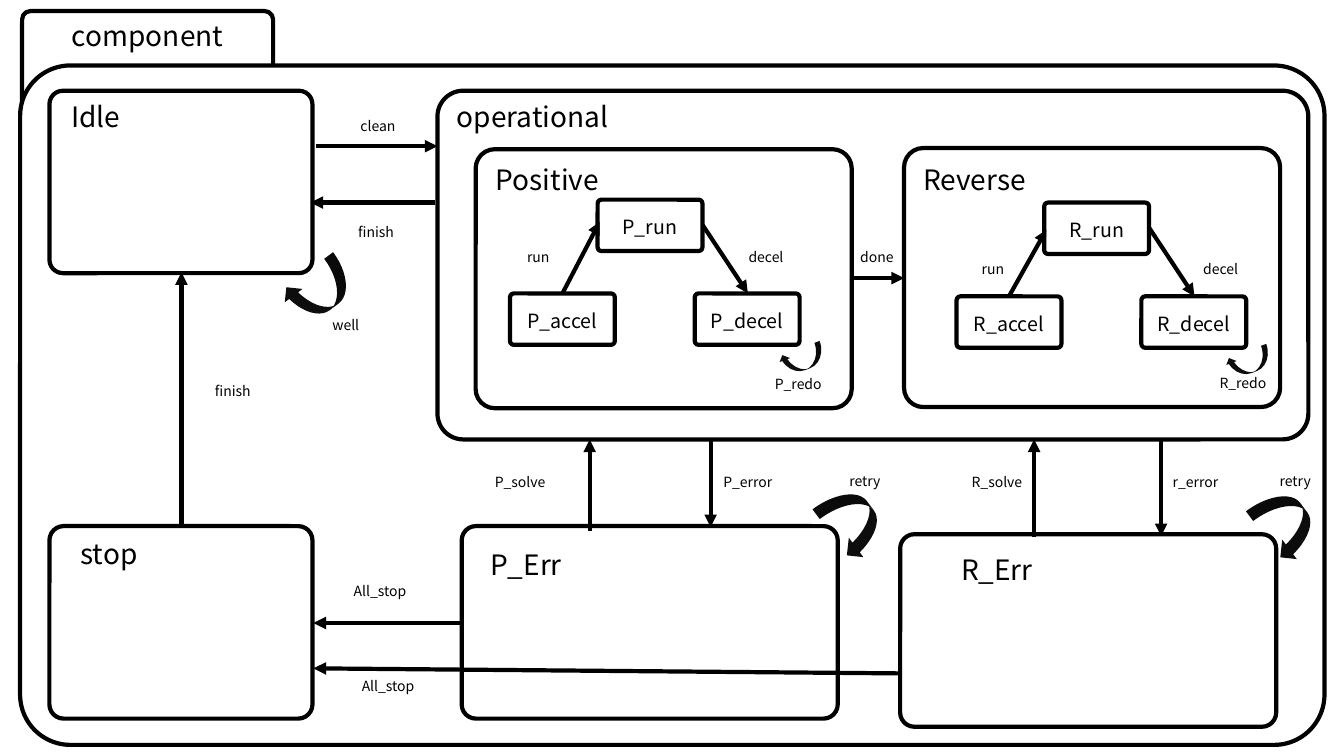
from lxml import etree
from pptx import Presentation
from pptx.dml.color import RGBColor
from pptx.enum.shapes import MSO_CONNECTOR, MSO_SHAPE
from pptx.enum.text import MSO_AUTO_SIZE, PP_ALIGN
from pptx.oxml.ns import qn
from pptx.util import Pt

STRAIGHT = MSO_CONNECTOR.STRAIGHT
ROUNDED = MSO_SHAPE.ROUNDED_RECTANGLE
LOOP_ARROW = MSO_SHAPE.CURVED_LEFT_ARROW
GROW = MSO_AUTO_SIZE.SHAPE_TO_FIT_TEXT
CENTER = PP_ALIGN.CENTER

BLACK = RGBColor(0x00, 0x00, 0x00)
WHITE = RGBColor(0xFF, 0xFF, 0xFF)
LOOP_FILL = RGBColor(0x0D, 0x0D, 0x0D)
FONT = "Noto Sans CJK KR"
LINE_WIDTH = 3
CORNER = 0.074

# Lengths in points. State frames: left, top, width, height
COMPONENT_TAB = (15.8, 7.9, 179.3, 81.4)
COMPONENT = (14.4, 46.8, 931.7, 485.3)
OPERATIONAL = (312.5, 64.8, 622.1, 249.1)
IDLE = (35.3, 64.8, 187.9, 130.3)
STOP = (35.3, 375.8, 187.9, 137.5)
POSITIVE = (339.8, 106.6, 268.6, 185)
REVERSE = (645.8, 105.8, 268.6, 185)
P_ERR = (329.8, 375.8, 268.6, 137.5)
R_ERR = (643, 381.6, 268.6, 137.5)
STATES = [COMPONENT_TAB, COMPONENT, OPERATIONAL, IDLE, STOP,
          POSITIVE, REVERSE, P_ERR, R_ERR]

# Title, centre x, top, width
TITLES = [
    ("component", 105.5, 9.4, 150), ("operational", 380.5, 67.7, 148),
    ("Idle", 68.4, 67.7, 122.4), ("stop", 77.8, 379.4, 122.4),
    ("Positive", 391, 112.3, 122.4), ("Reverse", 696.2, 112.3, 122.4),
    ("P_Err", 375.8, 387.4, 122.4), ("R_Err", 712.1, 391, 122.4),
]

# Each cycle has the same three steps, offset from its own origin
CYCLES = {"P": (364.3, 142.6), "R": (683.3, 144.7)}
STEPS = {"run": (62.6, 0), "accel": (0, 67), "decel": (132, 67)}
STEP_WIDTH, STEP_HEIGHT = 74.9, 36.7
STEP_TEXT_WIDTH, STEP_TEXT_DROP = 72, 7.6

# Label, label centre x, label top, start, end
TRANSITIONS = [
    ("clean", 270, 80.6, (225.4, 104.4), (312.5, 104.4)),
    ("finish", 268.6, 156.2, (311, 144.7), (221.8, 144.7)),
    ("finish", 166.3, 270, (129.6, 375.8), (129.6, 194.4)),
    ("All_stop", 271.4, 412.6, (329.8, 445), (223.9, 445)),
    ("All_stop", 277.2, 480.2, (641.5, 481), (223.9, 477.4)),
    ("P_solve", 371.5, 334.8, (421.2, 379.4), (421.2, 313.9)),
    ("P_error", 534.2, 334.8, (507.6, 313.9), (507.6, 376.6)),
    ("R_solve", 712.1, 334.8, (738.7, 383.8), (738.7, 313.9)),
    ("r_error", 853.9, 334.8, (829.4, 313.9), (829.4, 383)),
    ("run", 384.5, 174.2, (401.8, 209.5), (428.4, 158.4)),
    ("decel", 547.2, 174.2, (501.8, 160.6), (534.2, 209.5)),
    ("done", 626.4, 174.2, (609.1, 198.7), (645.8, 198.7)),
    ("run", 709.2, 182.2, (720.7, 211.7), (747.4, 164.2)),
    ("decel", 871.9, 182.9, (820.8, 162.7), (853.2, 211.7)),
]

# Label, label centre x, label top, arrow frame, rotation
SELF_LOOPS = [
    ("well", 247, 222.5, (211.7, 182.9, 31.7, 49.7), 53.1),
    ("retry", 617.8, 334.1, (591.8, 348.5, 34.6, 49.7), 323.2),
    ("retry", 925.2, 334.1, (901.4, 349.9, 34.6, 49.7), 323.2),
    ("P_redo", 570.2, 265, (565.2, 240.5, 15.8, 32.4), 69.2),
    ("R_redo", 887.8, 264.2, (884.2, 242.6, 15.8, 32.4), 69.2),
]
LABEL_WIDTH = 115.2


def add_state(shapes, frame):
    """Add a white rounded box with a black outline."""
    shape = shapes.add_shape(ROUNDED, *map(Pt, frame))
    shape.adjustments[0] = CORNER
    shape.shadow.inherit = False
    shape.fill.solid()
    shape.fill.fore_color.rgb = WHITE
    shape.line.color.rgb = BLACK
    shape.line.width = Pt(LINE_WIDTH)


def add_text(shapes, text, center, top, width, size):
    """Add one centred line of text around a centre x."""
    height = size * 1.1 + 9
    box = shapes.add_textbox(Pt(center - width / 2), Pt(top), Pt(width), Pt(height))
    text_frame = box.text_frame
    text_frame.word_wrap = True
    text_frame.auto_size = GROW
    text_frame.text = text
    paragraph = text_frame.paragraphs[0]
    paragraph.alignment = CENTER
    font = paragraph.runs[0].font
    font.name = FONT
    font.size = Pt(size)
    font.color.rgb = BLACK


def add_step(shapes, name, left, top):
    """Add a small named state as a group of box and text."""
    group = shapes.add_group_shape()
    add_state(group.shapes, (left, top, STEP_WIDTH, STEP_HEIGHT))
    add_text(group.shapes, name, left + STEP_WIDTH / 2, top + STEP_TEXT_DROP,
             STEP_TEXT_WIDTH, 14)


def add_arrow(shapes, start, end):
    """Add a straight arrow from start to end."""
    connector = shapes.add_connector(STRAIGHT, *map(Pt, start + end))
    connector.line.color.rgb = BLACK
    connector.line.width = Pt(LINE_WIDTH)
    line = connector.line._get_or_add_ln()
    etree.SubElement(line, qn("a:tailEnd"), type="triangle")
    etree.SubElement(line.getparent(), qn("a:effectLst"))


def add_loop(shapes, frame, rotation):
    """Add a curved arrow for a transition back to the same state."""
    shape = shapes.add_shape(LOOP_ARROW, *map(Pt, frame))
    shape.rotation = rotation
    shape.shadow.inherit = False
    shape.fill.solid()
    shape.fill.fore_color.rgb = LOOP_FILL
    shape.line.fill.background()


presentation = Presentation()
presentation.slide_width, presentation.slide_height = Pt(960), Pt(540)
slide = presentation.slides.add_slide(presentation.slide_layouts[6])
shapes = slide.shapes

for frame in STATES:
    add_state(shapes, frame)
for title, center, top, width in TITLES:
    add_text(shapes, title, center, top, width, 20)
for prefix, (left, top) in CYCLES.items():
    for step, (right, down) in STEPS.items():
        add_step(shapes, f"{prefix}_{step}", left + right, top + down)
for label, center, top, start, end in TRANSITIONS:
    add_arrow(shapes, start, end)
    add_text(shapes, label, center, top, LABEL_WIDTH, 10)
for label, center, top, frame, rotation in SELF_LOOPS:
    add_loop(shapes, frame, rotation)
    add_text(shapes, label, center, top, LABEL_WIDTH, 10)

presentation.save("out.pptx")
